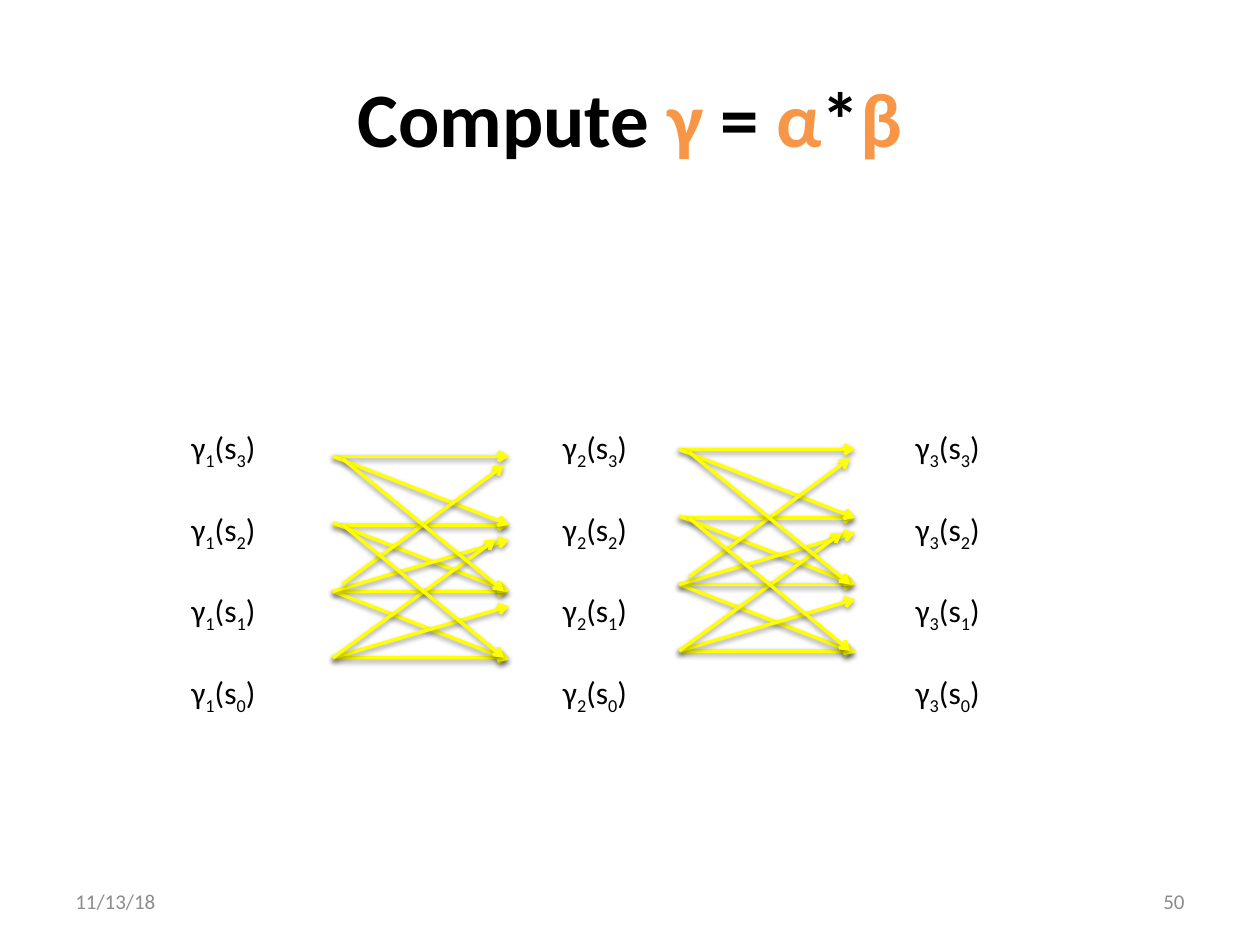
import pptx
import pptx.util
import pptx.dml.color
import pptx.enum.shapes
import pptx.enum.text
import pptx.oxml
import pptx.oxml.ns

Cm = pptx.util.Cm
Pt = pptx.util.Pt
ALIGN = pptx.enum.text.PP_ALIGN
ANCHOR = pptx.enum.text.MSO_ANCHOR

COLORS = {
    "text": "000000",
    "accent": "F79646",
    "footer": "8C8C8C",
    "arrow": "FFFF00",
}
FONT = "Calibri"
SUBSCRIPT = "-25000"

FAN_WIDTH = 3.55
ROWS = (0, 1.38, 2.72, 4.06)
STRAIGHT = [(0, ROWS[i], FAN_WIDTH, ROWS[i]) for i in (1, 2, 3, 0)]
CROSSING = [
    (0, 0, FAN_WIDTH, 1.38),
    (0, 1.34, FAN_WIDTH, 2.72),
    (0, 2.72, FAN_WIDTH, 4.1),
    (0, 4.06, FAN_WIDTH, 3.02),
    (0, 2.72, FAN_WIDTH, 1.68),
    (0, 4.06, 3.28, 1.68),
    (0.2, 2.57, 3.45, 0.18),
    (0.2, 1.38, 3.45, 4.06),
    (0.2, 0.05, 3.45, 2.72),
]

SHADOW = (
    f'<a:effectLst {pptx.oxml.ns.nsdecls("a")}>'
    '<a:outerShdw blurRad="40000" dist="20000" dir="5400000" rotWithShape="0">'
    '<a:srgbClr val="000000"><a:alpha val="38000"/></a:srgbClr>'
    "</a:outerShdw></a:effectLst>"
)
ARROWHEAD = f'<a:tailEnd {pptx.oxml.ns.nsdecls("a")} type="arrow"/>'


def rgb(name):
    return pptx.dml.color.RGBColor.from_string(COLORS[name])


def add_text(slide, box, paragraphs, size=18, color="text", bold=False,
             align=ALIGN.LEFT, anchor=ANCHOR.TOP, wrap=True, gap=0):
    sp = slide.shapes.add_textbox(*(Cm(v) for v in box))
    tf = sp.text_frame
    tf.word_wrap = wrap
    tf.vertical_anchor = anchor
    for i, runs in enumerate(paragraphs):
        p = tf.add_paragraph() if i else tf.paragraphs[0]
        p.alignment = align
        if i and gap:
            p.space_before = Pt(gap)
        for text, style in runs:
            r = p.add_run()
            r.text = text
            r.font.name = FONT
            r.font.size = Pt(size)
            r.font.bold = bold
            r.font.color.rgb = rgb("accent" if style == "accent" else color)
            if style == "sub":
                r.font._element.set("baseline", SUBSCRIPT)
    return sp


def add_arrow(group, x1, y1, x2, y2):
    line = group.shapes.add_connector(
        pptx.enum.shapes.MSO_CONNECTOR.STRAIGHT, Cm(x1), Cm(y1), Cm(x2), Cm(y2))
    line.line.color.rgb = rgb("arrow")
    line.line.width = Pt(2)
    line.line._get_or_add_ln().append(pptx.oxml.parse_xml(ARROWHEAD))
    line._element.spPr.append(pptx.oxml.parse_xml(SHADOW))


def add_fan(slide, left, top):
    group = slide.shapes.add_group_shape()
    for x1, y1, x2, y2 in STRAIGHT + CROSSING:
        add_arrow(group, left + x1, top + y1, left + x2, top + y2)


def add_states(slide, left, step):
    paragraphs = [
        [("γ", None), (str(step), "sub"), ("(s", None), (str(state), "sub"), (")", None)]
        for state in (3, 2, 1, 0)
    ]
    add_text(slide, (left, 8.51, 1.88, 5.64), paragraphs, wrap=False, gap=22)


def main():
    prs = pptx.Presentation()
    prs.slide_width, prs.slide_height = Cm(25.4), Cm(19.05)
    s = prs.slides.add_slide(prs.slide_layouts[6])

    title = [("Compute ", None), ("γ", "accent"), (" = ", None),
             ("α", "accent"), ("*", None), ("β", "accent")]
    add_text(s, (1.27, 0.76, 22.86, 3.18), [title], size=44, bold=True,
             align=ALIGN.CENTER, anchor=ANCHOR.MIDDLE)
    for left, text, align in ((1.27, "11/13/18", ALIGN.LEFT), (18.2, "50", ALIGN.RIGHT)):
        add_text(s, (left, 17.66, 5.93, 1.01), [[(text, None)]], size=12,
                 color="footer", align=align, anchor=ANCHOR.MIDDLE)

    add_fan(s, 6.71, 9.2)
    add_fan(s, 13.69, 9.06)
    for step, left in enumerate((3.61, 11.1, 18.21), start=1):
        add_states(s, left, step)

    prs.save("out.pptx")


if __name__ == "__main__":
    main()
